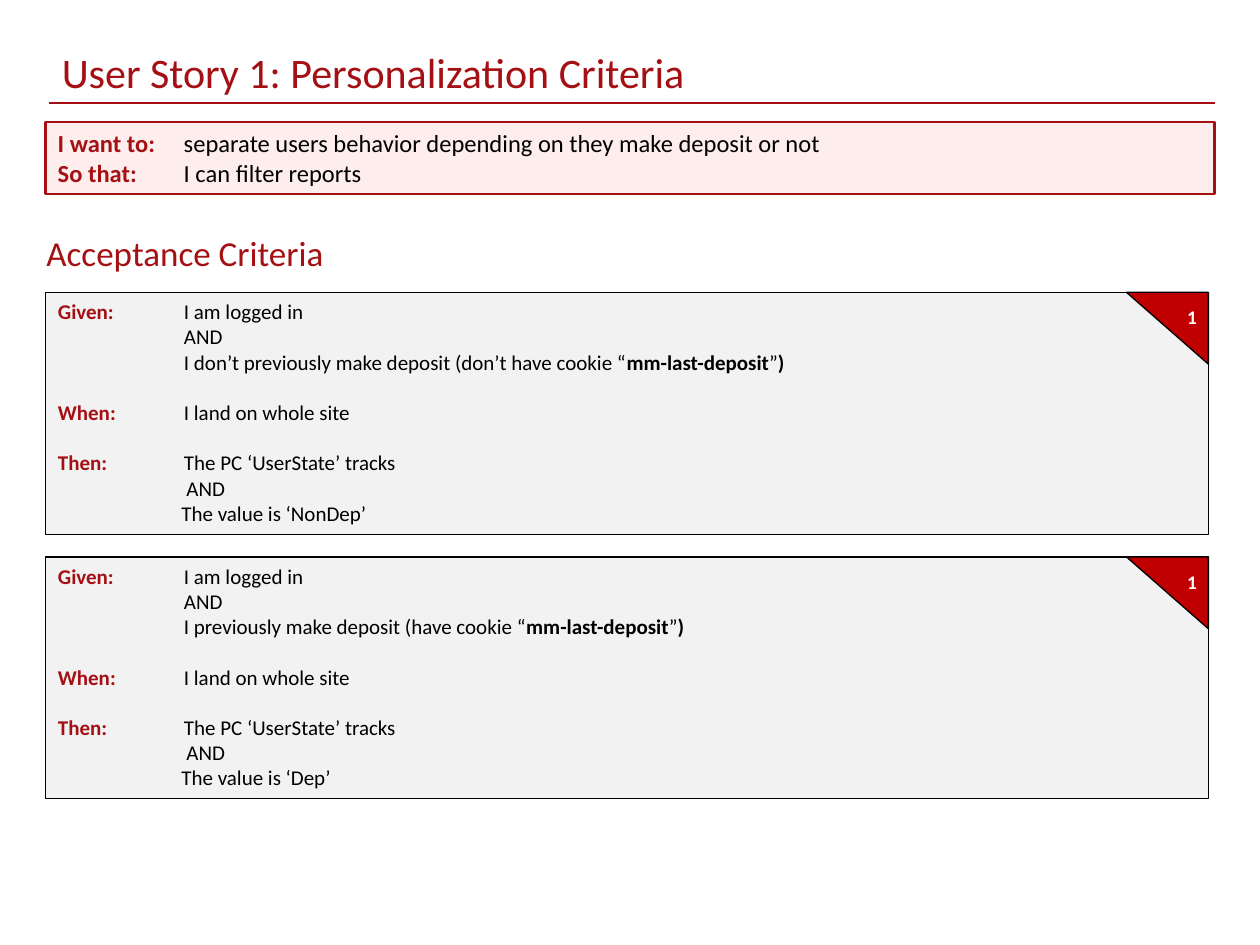
from lxml import etree
from pptx import Presentation, util as u
from pptx.dml.color import RGBColor
from pptx.enum import shapes, text
from pptx.oxml.ns import qn

CRIMSON = RGBColor(0xA4, 0x10, 0x14)
RED = RGBColor(0xC0, 0x00, 0x00)
BLUSH = RGBColor(0xFD, 0xED, 0xED)
GREY = RGBColor(0xF2, 0xF2, 0xF2)
BLACK = RGBColor(0x00, 0x00, 0x00)
WHITE = RGBColor(0xFF, 0xFF, 0xFF)

presentation = Presentation()
presentation.slide_width, presentation.slide_height = u.Inches(10), u.Inches(7.5)
COLUMN = presentation.slide_width / 100
ROW = presentation.slide_height / 75
LABEL_WIDTH = 10  # columns kept for "Given:", "When:", ...
LEFT, CARD_WIDTH, CARD_HEIGHT = 3.6, 92.3, 19.2
FIRST_CARD, CARD_STEP = 23.2, 21


def place(shape, left, top, width, height, fill=None, line=None, line_width=0.75):
    """Set position in grid units, then fill, outline and text frame."""
    box = {"left": left * COLUMN, "top": top * ROW,
           "width": width * COLUMN, "height": height * ROW}
    for name, value in box.items():
        setattr(shape, name, u.Emu(round(value)))
    if fill is not None:
        shape.fill.solid()
        shape.fill.fore_color.rgb = fill
        shape.line.color.rgb = line
        shape.line.width = u.Pt(line_width)
    frame_format = {"word_wrap": True, "auto_size": text.MSO_AUTO_SIZE.NONE,
                    "vertical_anchor": text.MSO_ANCHOR.TOP}
    for name, value in frame_format.items():
        setattr(shape.text_frame, name, value)
    return shape


def write(shape, lines, size, align=text.PP_ALIGN.LEFT):
    """Write lines of (space before, hanging, margin, [(words, colour, bold)])."""
    frame = shape.text_frame
    for number, (space, hanging, margin, runs) in enumerate(lines):
        paragraph = frame.add_paragraph() if number else frame.paragraphs[0]
        paragraph_format = {"alignment": align, "space_before": u.Pt(space),
                            "space_after": u.Pt(0)}
        for name, value in paragraph_format.items():
            setattr(paragraph, name, value)
        properties = paragraph._p.get_or_add_pPr()
        properties.set("marL", str(round(margin * COLUMN)))
        properties.set("indent", str(round(-margin * COLUMN) if hanging else 0))
        etree.SubElement(properties, qn("a:buNone"))
        for words, colour, bold in runs:
            run = paragraph.add_run()
            run.text = words
            run.font.color.rgb = colour
            for name, value in {"name": "Calibri", "size": u.Pt(size), "bold": bold}.items():
                setattr(run.font, name, value)


# Title and the rule below it
slide = presentation.slides.add_slide(presentation.slide_layouts[3])
title, *cards = slide.placeholders
place(title, 3.9, 3.2, 68.3, 5)
write(title, [(0, False, 0, [("User Story 1: Personalization Criteria", CRIMSON, False)])], 24)

rule = slide.shapes.add_connector(
    shapes.MSO_CONNECTOR.STRAIGHT, round(3.9 * COLUMN), round(8.2 * ROW),
    round(96.4 * COLUMN), round(8.2 * ROW))
rule.line.color.rgb = CRIMSON
rule.line.width = u.Pt(1.25)
etree.SubElement(rule._element.spPr, qn("a:effectLst"))

# Story box
story = slide.shapes.add_shape(shapes.MSO_SHAPE.RECTANGLE, 0, 0, 0, 0)
story.shadow.inherit = False
place(story, LEFT, 9.7, 92.8, 5.7, BLUSH, CRIMSON, 1.5)
goals = [("I want to:", "separate users behavior depending on they make deposit or not"),
         ("So that:", "I can filter reports")]
write(story, [(0, True, LABEL_WIDTH, [(f"{label}\t", CRIMSON, True), (words, BLACK, False)])
              for label, words in goals], 14)

# Section heading
heading = place(slide.shapes.add_textbox(0, 0, 0, 0), 2.7, 17.9, 68.3, 4.4)
write(heading, [(0, False, 0, [("Acceptance Criteria", CRIMSON, False)])], 20)

# Criteria cards with numbered corners
criteria = [("I don’t previously make deposit (don’t have cookie “", "NonDep"),
            ("I previously make deposit (have cookie “", "Dep")]
for index, (card, (condition, state)) in enumerate(zip(cards, criteria)):
    top = FIRST_CARD + index * CARD_STEP
    place(card, LEFT, top, CARD_WIDTH, CARD_HEIGHT, GREY, BLACK)
    write(card, [
        (0, True, LABEL_WIDTH, [("Given:\t", CRIMSON, True), ("I am logged in", BLACK, False)]),
        (0, False, LABEL_WIDTH, [("AND", BLACK, False)]),
        (0, False, LABEL_WIDTH, [(condition, BLACK, False), ("mm-last-deposit", BLACK, True),
                                 ("”", BLACK, False), (")", BLACK, True)]),
        (14.4, True, LABEL_WIDTH, [("When:\t", CRIMSON, True),
                                   ("I land on whole site", BLACK, False)]),
        (14.4, True, LABEL_WIDTH, [("Then:\t", CRIMSON, True),
                                   ("The PC ‘UserState’ tracks", BLACK, False)]),
        (0, False, LABEL_WIDTH + 0.2, [("AND", BLACK, False)]),
        (0, False, LABEL_WIDTH - 0.2, [(f"The value is ‘{state}’", BLACK, False)]),
    ], 12)

    corner = slide.shapes.add_shape(shapes.MSO_SHAPE.RIGHT_TRIANGLE, 0, 0, 0, 0)
    corner.shadow.inherit = False
    place(corner, LEFT + CARD_WIDTH - 6.5, top, 6.5, 5.7, RED, BLACK)
    corner.rotation = 180

    badge = place(slide.shapes.add_textbox(0, 0, 0, 0), 93.5, top + 0.5, 2.2, 2.9)
    badge_format = {"margin_left": 0, "margin_right": 0,
                    "vertical_anchor": text.MSO_ANCHOR.MIDDLE}
    for name, value in badge_format.items():
        setattr(badge.text_frame, name, value)
    write(badge, [(0, False, 0, [("1", WHITE, True)])], 11, text.PP_ALIGN.CENTER)

presentation.save("out.pptx")
